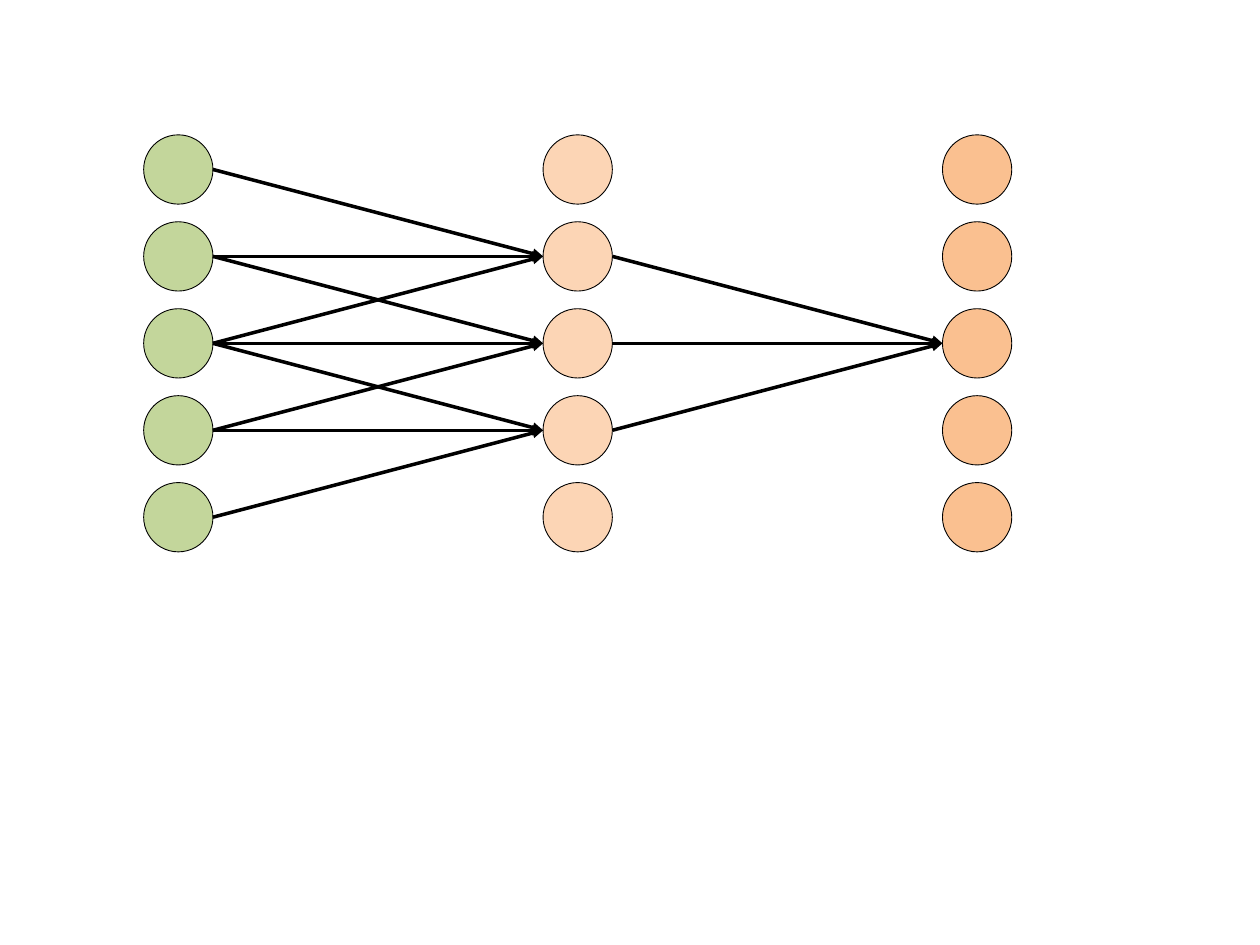
from pptx import Presentation
from pptx.dml.color import RGBColor as RGB
from pptx.enum.shapes import MSO_CONNECTOR as Conn, MSO_SHAPE as Shape
from pptx.oxml.ns import qn
from pptx.util import Inches, Pt
from lxml.etree import SubElement

COLORS = {"input": "C3D69B", "hidden": "FCD5B5", "output": "FAC090", "line": "000000"}
LAYERS = ["input", "hidden", "output"]
LEFT, TOP = 1.14, 1.07
STEP_X, STEP_Y = 3.17, 0.69
SIZE = 0.55
ROWS = 5


def color(name):
    return RGB.from_string(COLORS[name])


def add_node(group, layer, row):
    node = group.shapes.add_shape(
        Shape.OVAL, Inches(LEFT + layer * STEP_X), Inches(TOP + row * STEP_Y),
        Inches(SIZE), Inches(SIZE))
    node.shadow.inherit = False
    node.fill.solid()
    node.fill.fore_color.rgb = color(LAYERS[layer])
    node.line.color.rgb = color("line")
    node.line.width = Pt(0.5)


def add_arrow(group, layer, start, end):
    x = LEFT + layer * STEP_X
    y = TOP + SIZE / 2
    arrow = group.shapes.add_connector(
        Conn.STRAIGHT, Inches(x + SIZE), Inches(y + start * STEP_Y),
        Inches(x + STEP_X), Inches(y + end * STEP_Y))
    arrow.line.color.rgb = color("line")
    arrow.line.width = Pt(2)
    SubElement(arrow.line._get_or_add_ln(), qn("a:tailEnd"), type="triangle")
    SubElement(arrow._element.spPr, qn("a:effectLst"))


def add_fan(group, layer, end):
    for start in range(end - 1, end + 2):
        add_arrow(group, layer, start, end)


def main():
    deck = Presentation()
    deck.slide_width, deck.slide_height = Inches(10), Inches(7.5)
    slide = deck.slides.add_slide(deck.slide_layouts[6])
    group = slide.shapes.add_group_shape()
    for layer in range(len(LAYERS)):
        for row in range(ROWS):
            add_node(group, layer, row)
    add_fan(group, 1, 2)
    for end in (2, 1, 3):
        add_fan(group, 0, end)
    deck.save("out.pptx")


if __name__ == "__main__":
    main()
